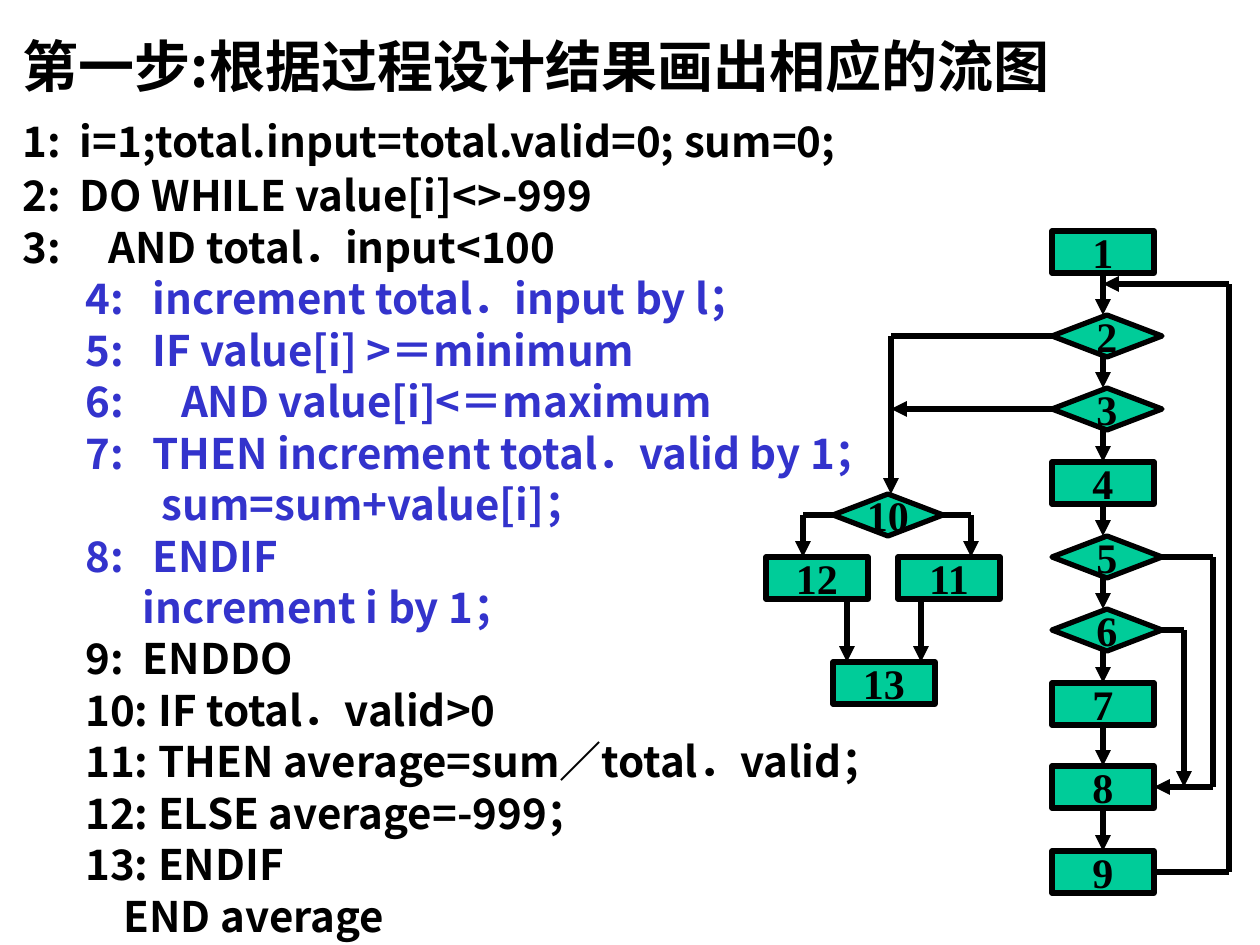
from dataclasses import dataclass

from lxml.etree import SubElement
from pptx import Presentation
from pptx.dml.color import RGBColor
from pptx.enum.shapes import MSO_CONNECTOR, MSO_SHAPE
from pptx.enum.text import MSO_ANCHOR, MSO_AUTO_SIZE, PP_ALIGN
from pptx.oxml.ns import qn
from pptx.util import Pt

EMU_PER_PX = 914400 / 126
TOP, LEFT, BOTTOM, RIGHT = range(4)


@dataclass(frozen=True)
class Theme:
    ink: RGBColor = RGBColor(0x00, 0x00, 0x00)
    loop_text: RGBColor = RGBColor(0x33, 0x33, 0xCC)
    node_fill: RGBColor = RGBColor(0x00, 0xCC, 0x99)
    text_font: str = "Noto Sans CJK SC"
    node_font: str = "Times New Roman"
    title_size: int = 32
    body_size: int = 24
    line_width: int = 3


THEME = Theme()

TITLE = "第一步:根据过程设计结果画出相应的流图"

# Pseudocode: opening lines, loop body, closing lines
OPENING = [
    "1:  i=1;total.input=total.valid=0; sum=0;",
    "2:  DO WHILE value[i]<>-999",
    "3:     AND total．input<100",
]
LOOP_BODY = [
    "4:   increment total．input by l；",
    "5:   IF value[i] >＝minimum",
    "6:      AND value[i]<＝maximum",
    "7:   THEN increment total．valid by 1；",
    "        sum=sum+value[i]；",
    "8:   ENDIF",
    "      increment i by 1；",
]
CLOSING = [
    "9:  ENDDO",
    "10: IF total．valid>0",
    "11: THEN average=sum／total．valid；",
    "12: ELSE average=-999；",
    "13: ENDIF",
    "    END average",
]

# Flow graph: node number -> left, top
NODE_HEIGHT, STEP_WIDTH, DECISION_WIDTH = 42, 102, 110
SPINE_LEFT = 1052
SPINE_X = SPINE_LEFT + STEP_WIDTH // 2
SPINE_TOPS = [231, 315, 388, 462, 536, 609, 683, 766, 851]
NODES = {number: (SPINE_LEFT, top) for number, top in enumerate(SPINE_TOPS, 1)}
NODES.update({10: (833, 494), 12: (766, 557), 11: (898, 557), 13: (833, 662)})
DECISIONS = {2, 3, 5, 6, 10}

# Branches and returns: corner points, then the joined (node, side) at each end
ROUTES = [
    ([(1052, 336), (891, 336), (891, 494)], None, None),
    ([(1052, 409), (891, 409)], None, None),
    ([(1162, 557), (1213, 557), (1213, 787), (1154, 787)], None, (8, RIGHT)),
    ([(1162, 630), (1184, 630), (1184, 787)], None, None),
    ([(1154, 872), (1229, 872), (1229, 284), (SPINE_X, 284)], (9, RIGHT), None),
    ([(833, 515), (803, 515), (803, 557)], None, None),
    ([(943, 515), (971, 515), (971, 557)], None, None),
    ([(847, 599), (847, 662)], None, None),
    ([(921, 599), (921, 662)], None, None),
]


def px(*lengths):
    return [round(length * EMU_PER_PX) for length in lengths]


def style_font(font, name, size, color):
    font.name, font.size, font.bold = name, Pt(size), True
    font.color.rgb = color


def use_east_asian_font(para, name):
    latin = para.font._element.find(qn("a:latin"))
    latin.addnext(latin.makeelement(qn("a:ea"), {"typeface": name}))


def add_title(page):
    title = page.shapes.title
    title.left, title.top, title.width, title.height = px(10, 38, 1218, 78)
    frame = title.text_frame
    frame.text = TITLE
    frame.auto_size = MSO_AUTO_SIZE.NONE
    frame.vertical_anchor = MSO_ANCHOR.TOP
    para = frame.paragraphs[0]
    para.alignment = PP_ALIGN.LEFT
    para.line_spacing = 0.8
    para.space_before = Pt(0)
    style_font(para.font, THEME.text_font, THEME.title_size, THEME.ink)
    use_east_asian_font(para, THEME.text_font)


def add_pseudocode(page):
    frame = page.shapes.add_textbox(*px(10, 119, 1218, 823)).text_frame
    frame.word_wrap = True
    blocks = [
        (OPENING, 0, THEME.ink),
        (LOOP_BODY, 1, THEME.loop_text),
        (CLOSING, 1, THEME.ink),
    ]
    lines = [(text, level, color) for texts, level, color in blocks for text in texts]
    for index, (text, level, color) in enumerate(lines):
        para = frame.add_paragraph() if index else frame.paragraphs[0]
        para.text = text
        para.level = level
        para._p.get_or_add_pPr().set("marL", str(px(63 * level)[0]))
        para.line_spacing = 0.5 if index else 0.8
        para.space_before = Pt(15 if index else 0)
        style_font(para.font, THEME.text_font, THEME.body_size, color)
        use_east_asian_font(para, THEME.text_font)


def add_node(page, number):
    decision = number in DECISIONS
    kind = MSO_SHAPE.FLOWCHART_DECISION if decision else MSO_SHAPE.RECTANGLE
    width = DECISION_WIDTH if decision else STEP_WIDTH
    node = page.shapes.add_shape(kind, *px(*NODES[number], width, NODE_HEIGHT))
    node.shadow.inherit = False
    node.fill.solid()
    node.fill.fore_color.rgb = THEME.node_fill
    node.line.color.rgb = THEME.ink
    node.line.width = Pt(THEME.line_width)
    frame = node.text_frame
    frame.word_wrap = False
    frame.vertical_anchor = MSO_ANCHOR.MIDDLE
    para = frame.paragraphs[0]
    para.text = str(number)
    para.alignment = PP_ALIGN.CENTER
    style_font(para.font, THEME.node_font, THEME.body_size, THEME.ink)
    return node


def add_line(page, start, end):
    line = page.shapes.add_connector(MSO_CONNECTOR.STRAIGHT, *px(*start, *end))
    line.line.color.rgb = THEME.ink
    line.line.width = Pt(THEME.line_width)
    SubElement(line._element.spPr, qn("a:effectLst"))
    return line


def add_route(page, nodes, points, begin=None, end=None):
    """Draw a chain of straight lines with an arrowhead at its last point."""
    lines = [add_line(page, *pair) for pair in zip(points, points[1:])]
    SubElement(lines[-1].line._get_or_add_ln(), qn("a:tailEnd"), type="triangle")
    if begin:
        lines[0].begin_connect(nodes[begin[0]], begin[1])
    if end:
        lines[-1].end_connect(nodes[end[0]], end[1])


def add_spine(page, nodes):
    for upper in range(1, len(SPINE_TOPS)):
        lower = upper + 1
        points = [
            (SPINE_X, NODES[upper][1] + NODE_HEIGHT),
            (SPINE_X, NODES[lower][1]),
        ]
        begin = None if upper in DECISIONS else (upper, BOTTOM)
        end = None if lower in DECISIONS else (lower, TOP)
        add_route(page, nodes, points, begin, end)


def main():
    deck = Presentation()
    deck.slide_width, deck.slide_height = px(1260, 945)
    page = deck.slides.add_slide(deck.slide_layouts[5])
    add_title(page)
    add_pseudocode(page)
    nodes = {number: add_node(page, number) for number in NODES}
    add_spine(page, nodes)
    for points, begin, end in ROUTES:
        add_route(page, nodes, points, begin, end)
    deck.save("out.pptx")


if __name__ == "__main__":
    main()
